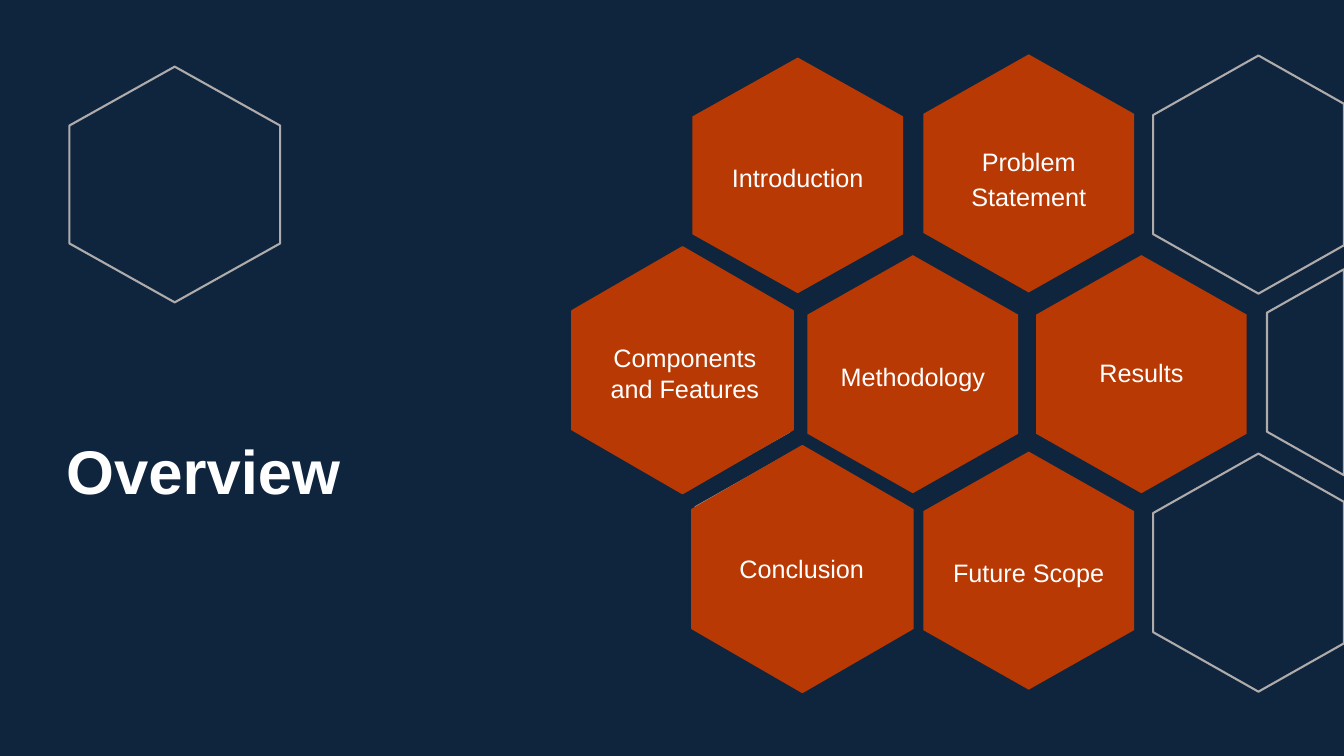
from dataclasses import dataclass

from pptx import Presentation
from pptx.dml.color import RGBColor
from pptx.enum.shapes import MSO_SHAPE
from pptx.enum.text import MSO_ANCHOR, PP_ALIGN
from pptx.util import Cm, Pt

HEXAGON = MSO_SHAPE.HEXAGON
TOP, MIDDLE = MSO_ANCHOR.TOP, MSO_ANCHOR.MIDDLE
LEFT, CENTER = PP_ALIGN.LEFT, PP_ALIGN.CENTER
PAGE_W, PAGE_H = 33.87, 19.05
CELL_W, CELL_H = 5.31, 6.0
SHORT_H = 5.94


@dataclass(frozen=True)
class Theme:
    navy: RGBColor = RGBColor(0x0F, 0x25, 0x3E)
    orange: RGBColor = RGBColor(0xB8, 0x39, 0x03)
    grey: RGBColor = RGBColor(0xAF, 0xAB, 0xAB)
    white: RGBColor = RGBColor(0xFF, 0xFF, 0xFF)
    font: str = "Arial"
    title: Pt = Pt(44)
    label: Pt = Pt(18)
    line: Pt = Pt(1.5)


THEME = Theme()

OUTLINE_CELLS = [
    (1.75, 1.68, SHORT_H),
    (29.06, 1.4, CELL_H),
    (31.93, 6.38, CELL_H),
    (29.06, 11.43, CELL_H),
    (14.58, 6.38, CELL_H),
    (17.53, 11.28, CELL_H),
]
TOPIC_CELLS = [
    ("Introduction", 17.45, 1.45, SHORT_H, 0.04, 1.0),
    ("Problem Statement", 23.27, 1.37, CELL_H, 0.09, 1.13),
    ("Methodology", 20.35, 6.43, CELL_H, 0, 1.13),
    ("Results", 26.11, 6.43, CELL_H, -0.04, 1.0),
    ("Future Scope", 23.27, 11.38, CELL_H, 0, 1.13),
]
LARGE_CELLS = [
    ("Conclusion", (17.12, 11.56, 6.2, 5.56), (1.14, 2.26, 3.89, 1.02)),
    ("Components and Features", (14.1, 6.55, 6.2, 5.56), (0.66, 1.96, 5.0, 2.57)),
]


def paint(sp, fill=None, line=None):
    sp.shadow.inherit = False
    if fill is None:
        sp.fill.background()
    else:
        sp.fill.solid()
        sp.fill.fore_color.rgb = fill
    if line is None:
        sp.line.fill.background()
    else:
        sp.line.color.rgb = line
        sp.line.width = THEME.line


def add_text(slide, text, box, font, paragraph, anchor):
    tf = slide.shapes.add_textbox(*map(Cm, box)).text_frame
    tf.word_wrap = True
    tf.vertical_anchor = anchor
    p = tf.paragraphs[0]
    for name, value in paragraph.items():
        setattr(p, name, value)
    r = p.add_run()
    r.text = text
    for name, value in {"name": THEME.font, **font}.items():
        setattr(r.font, name, value)
    r.font.color.rgb = THEME.white


def add_cell(slide, box, fill=None, line=None):
    x, y, w, h = box
    cx, right = x + w / 2, min(x + w, PAGE_W)
    slope = h / 4 * abs(right - cx) / (w / 2)
    points = [(right, y + slope), (right, y + h - slope)]
    if cx < right:
        points.append((cx, y + h))
    points += [(x, y + h * 3 / 4), (x, y + h / 4)]
    if cx < right:
        points.append((cx, y))
    corners = [(Cm(px), Cm(py)) for px, py in points]
    builder = slide.shapes.build_freeform(*corners[0])
    builder.add_line_segments(corners[1:], close=True)
    paint(builder.convert_to_shape(), fill, line)


def add_topic(slide, text, box, shift, spacing):
    x, y, w, h = box
    add_text(slide, text, (x, y + h / 4 + shift, w, h / 2),
             {"size": THEME.label},
             {"alignment": CENTER, "line_spacing": spacing, "space_before": Pt(10)},
             MIDDLE)


def add_large_topic(slide, text, box, label):
    x, y, w, h = box
    sp = slide.shapes.add_shape(HEXAGON, *map(Cm, box))
    sp.rotation = 90
    sp.adjustments[0] = 0.289
    paint(sp, THEME.orange, THEME.orange)
    dx, dy, label_w, label_h = label
    add_text(slide, text, (x + dx, y + dy, label_w, label_h),
             {"size": THEME.label}, {"alignment": CENTER}, TOP)


def add_title(slide, text, box):
    add_text(slide, text, box, {"size": THEME.title, "bold": True},
             {"alignment": LEFT, "line_spacing": 0.9}, MIDDLE)


def add_honeycomb(slide):
    for _, x, y, h, _, _ in TOPIC_CELLS:
        add_cell(slide, (x, y, CELL_W, h), fill=THEME.orange)
    for x, y, h in OUTLINE_CELLS:
        add_cell(slide, (x, y, CELL_W, h), line=THEME.grey)
    for text, x, y, h, shift, spacing in TOPIC_CELLS:
        add_topic(slide, text, (x, y, CELL_W, h), shift, spacing)
    for text, box, label in LARGE_CELLS:
        add_large_topic(slide, text, box, label)


def main():
    prs = Presentation()
    prs.slide_width, prs.slide_height = Cm(PAGE_W), Cm(PAGE_H)
    slide = prs.slides.add_slide(prs.slide_layouts[6])
    slide.background.fill.solid()
    slide.background.fill.fore_color.rgb = THEME.navy
    add_honeycomb(slide)
    add_title(slide, "Overview", (1.42, 9.55, 11.81, 4.83))
    prs.save("out.pptx")


if __name__ == "__main__":
    main()
